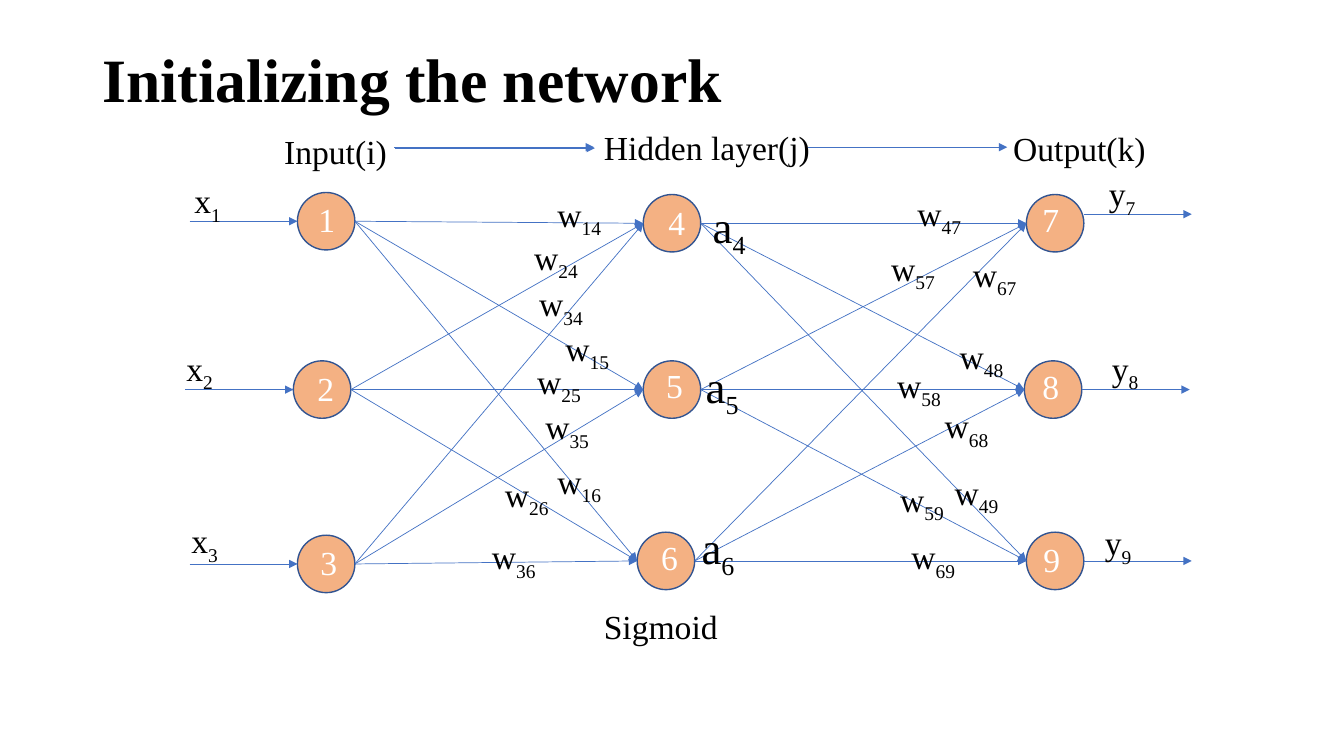
from collections import namedtuple

from lxml import etree
from pptx import Presentation
from pptx.dml.color import RGBColor
from pptx.enum.shapes import MSO_CONNECTOR, MSO_SHAPE
from pptx.enum.text import MSO_ANCHOR
from pptx.oxml.ns import qn
from pptx.util import Inches, Pt

STRAIGHT = MSO_CONNECTOR.STRAIGHT
OVAL = MSO_SHAPE.OVAL
TOP = MSO_ANCHOR.TOP

BLACK = RGBColor(0x00, 0x00, 0x00)
WHITE = RGBColor(0xFF, 0xFF, 0xFF)
ORANGE = RGBColor(0xF4, 0xB1, 0x83)
NAVY = RGBColor(0x32, 0x54, 0x91)
BLUE = RGBColor(0x44, 0x72, 0xC4)

FONT = "Times New Roman"
DIAMETER = 0.57
ARROW_LENGTH = 1.07
LABEL_WIDTH = 1.16

Box = namedtuple("Box", "left top width height")
TITLE_BOX = Box(0.92, 0.4, 11.5, 1.45)
HEADER_BOX = Box(2, 1, 10, 0.8)
NETWORK_BOX = Box(1, 1, 11.1, 5.5)

# Positions below are offsets in inches from the region's top left corner.
HEADINGS = [
    ("Input(i)", 0.72, 0.25, 1.94),
    ("Hidden layer(j)", 3.89, 0.21, 2.27),
    ("Output(k)", 7.95, 0.22, 1.94),
]
HEADING_ARROWS = [(1.92, 0.47), (6.01, 0.46), (1.91, 0.46)]
HEADING_ARROW_LENGTH = 1.98

INPUT_LAYER = {1: (1.95, 0.91), 2: (1.91, 2.58), 3: (1.95, 4.31)}
HIDDEN_LAYER = {4: (5.38, 0.93), 5: (5.38, 2.58), 6: (5.32, 4.28)}
OUTPUT_LAYER = {7: (9.18, 0.93), 8: (9.16, 2.58), 9: (9.18, 4.28)}
OUTPUT_ARROW_SHIFT = {7: -0.09}

NODE_NUMBERS = {
    1: (2.06, 0.92), 2: (2.05, 2.6), 3: (2.08, 4.33),
    4: (5.53, 0.95), 5: (5.51, 2.57), 6: (5.46, 4.28),
    7: (9.24, 0.92), 8: (9.24, 2.58), 9: (9.25, 4.3),
}
VARIABLES = {
    "x1": (0.83, 0.74), "x2": (0.75, 2.4), "x3": (0.8, 4.11),
    "y7": (9.9, 0.67), "y8": (9.93, 2.4), "y9": (9.86, 4.13),
    "w14": (4.43, 0.87), "w15": (4.51, 2.2), "w16": (4.43, 3.52),
    "w24": (4.2, 1.3), "w25": (4.23, 2.53), "w26": (3.91, 3.65),
    "w34": (4.25, 1.76), "w35": (4.31, 2.98), "w36": (3.78, 4.27),
    "w47": (8, 0.86), "w48": (8.42, 2.28), "w49": (8.37, 3.63),
    "w57": (7.74, 1.41), "w58": (7.8, 2.57), "w59": (7.83, 3.7),
    "w67": (8.55, 1.47), "w68": (8.27, 2.97), "w69": (7.94, 4.27),
}
ACTIVATIONS = {"a4": (5.97, 0.92), "a5": (5.9, 2.51), "a6": (5.86, 4.11)}


def add_label(slide, box, text, subscript="", size=24, color=BLACK, bold=False):
    label = slide.shapes.add_textbox(*map(Inches, box))
    frame = label.text_frame
    frame.word_wrap = True
    para = frame.paragraphs[0]
    para.text = text
    if subscript:
        para.add_run().text = subscript
    for span in para.runs:
        span.font.name = FONT
        span.font.size = Pt(size)
        span.font.bold = bold
        span.font.color.rgb = color
    if subscript:
        para.runs[1].font._element.set("baseline", "-25000")
    return label


def add_arrow(slide, start, end):
    arrow = slide.shapes.add_connector(STRAIGHT, *map(Inches, (*start, *end)))
    arrow.line.color.rgb = BLUE
    arrow.line.width = Pt(0.5)
    tail = etree.SubElement(arrow.line._get_or_add_ln(), qn("a:tailEnd"))
    tail.set("type", "triangle")
    etree.SubElement(arrow._element.spPr, qn("a:effectLst"))


def add_node(slide, left, top):
    node = slide.shapes.add_shape(
        OVAL, Inches(left), Inches(top), Inches(DIAMETER), Inches(DIAMETER))
    node.shadow.inherit = False
    node.fill.solid()
    node.fill.fore_color.rgb = ORANGE
    node.line.color.rgb = NAVY
    node.line.width = Pt(1)


def add_title(slide, box):
    title = add_label(slide, box, "Initializing the network", size=44, bold=True)
    title.text_frame.vertical_anchor = TOP
    title.text_frame.margin_top = Inches(0.09)
    title.text_frame.paragraphs[0].line_spacing = 0.9


def add_layer_headings(slide, box):
    for text, x, y, width in HEADINGS:
        add_label(slide, (box.left + x, box.top + y, width, 0.5), text)
    for x, y in HEADING_ARROWS:
        start = (box.left + x, box.top + y)
        add_arrow(slide, start, (start[0] + HEADING_ARROW_LENGTH, start[1]))


def add_network(slide, box):
    def place(offset):
        return box.left + offset[0], box.top + offset[1]

    def left_side(offset):
        x, y = place(offset)
        return x, y + DIAMETER / 2

    def right_side(offset):
        x, y = left_side(offset)
        return x + DIAMETER, y

    layers = [INPUT_LAYER, HIDDEN_LAYER, OUTPUT_LAYER]
    for layer in layers:
        for offset in layer.values():
            add_node(slide, *place(offset))

    for offset in INPUT_LAYER.values():
        x, y = left_side(offset)
        add_arrow(slide, (x - ARROW_LENGTH, y), (x, y))
    for number, offset in OUTPUT_LAYER.items():
        x, y = right_side(offset)
        y += OUTPUT_ARROW_SHIFT.get(number, 0)
        add_arrow(slide, (x, y), (x + ARROW_LENGTH, y))
    for sources, targets in zip(layers, layers[1:]):
        for source in sources.values():
            for target in targets.values():
                add_arrow(slide, right_side(source), left_side(target))

    for number, offset in NODE_NUMBERS.items():
        add_label(slide, (*place(offset), 0.5, 0.5), str(number), color=WHITE)
    for name, offset in VARIABLES.items():
        add_label(slide, (*place(offset), LABEL_WIDTH, 0.5), name[0], name[1:])
    for name, offset in ACTIVATIONS.items():
        add_label(slide, (*place(offset), LABEL_WIDTH, 0.64), name[0], name[1:], size=32)
    add_label(slide, (*place((4.89, 4.96)), 2.08, 0.5), "Sigmoid")


def main():
    deck = Presentation()
    deck.slide_width = Inches(13.33)
    deck.slide_height = Inches(7.5)
    slide = deck.slides.add_slide(deck.slide_layouts[6])
    add_title(slide, TITLE_BOX)
    add_network(slide, NETWORK_BOX)
    add_layer_headings(slide, HEADER_BOX)
    deck.save("out.pptx")


if __name__ == "__main__":
    main()
